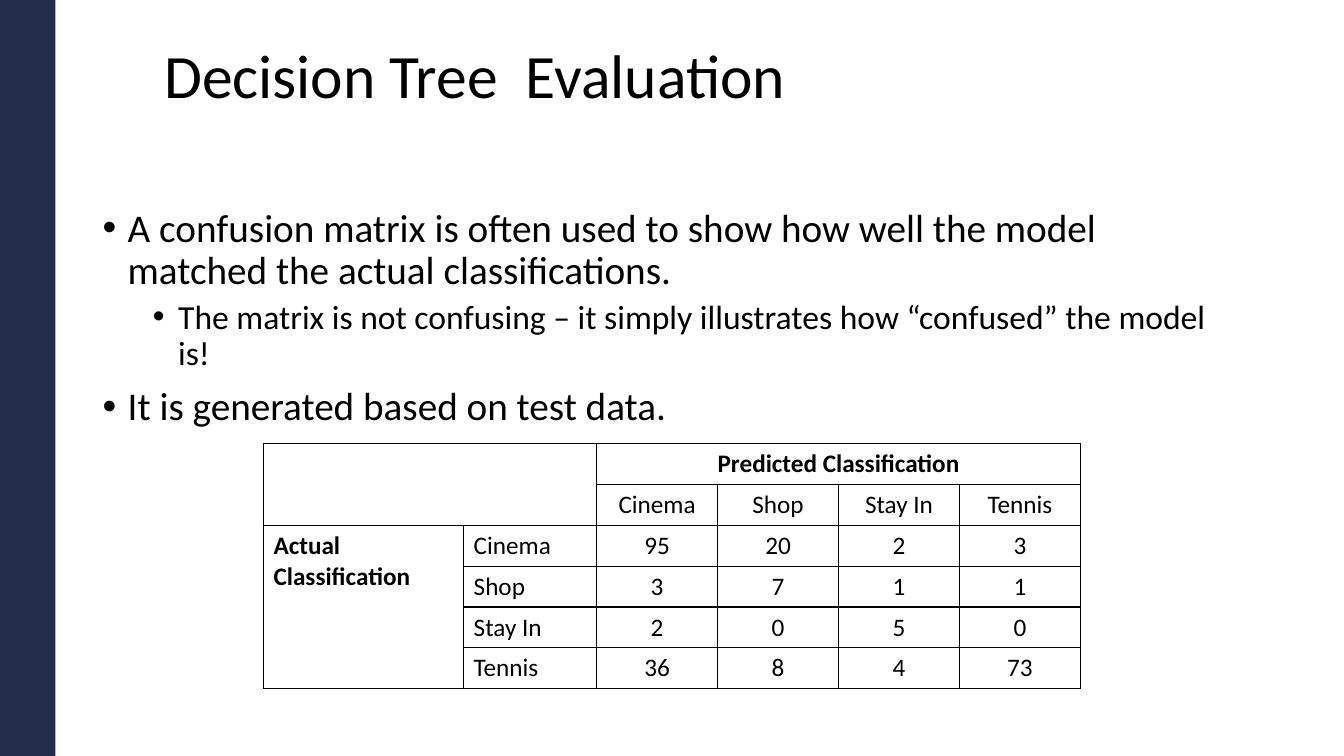
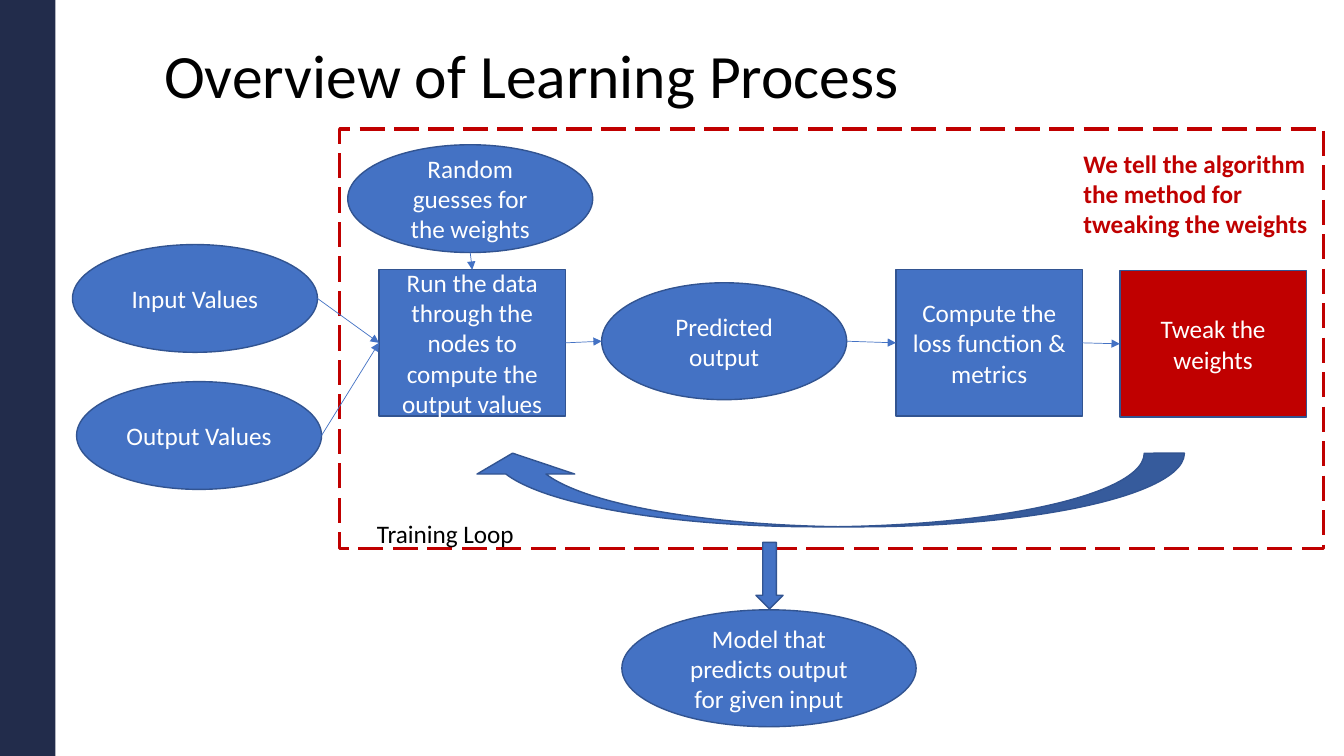
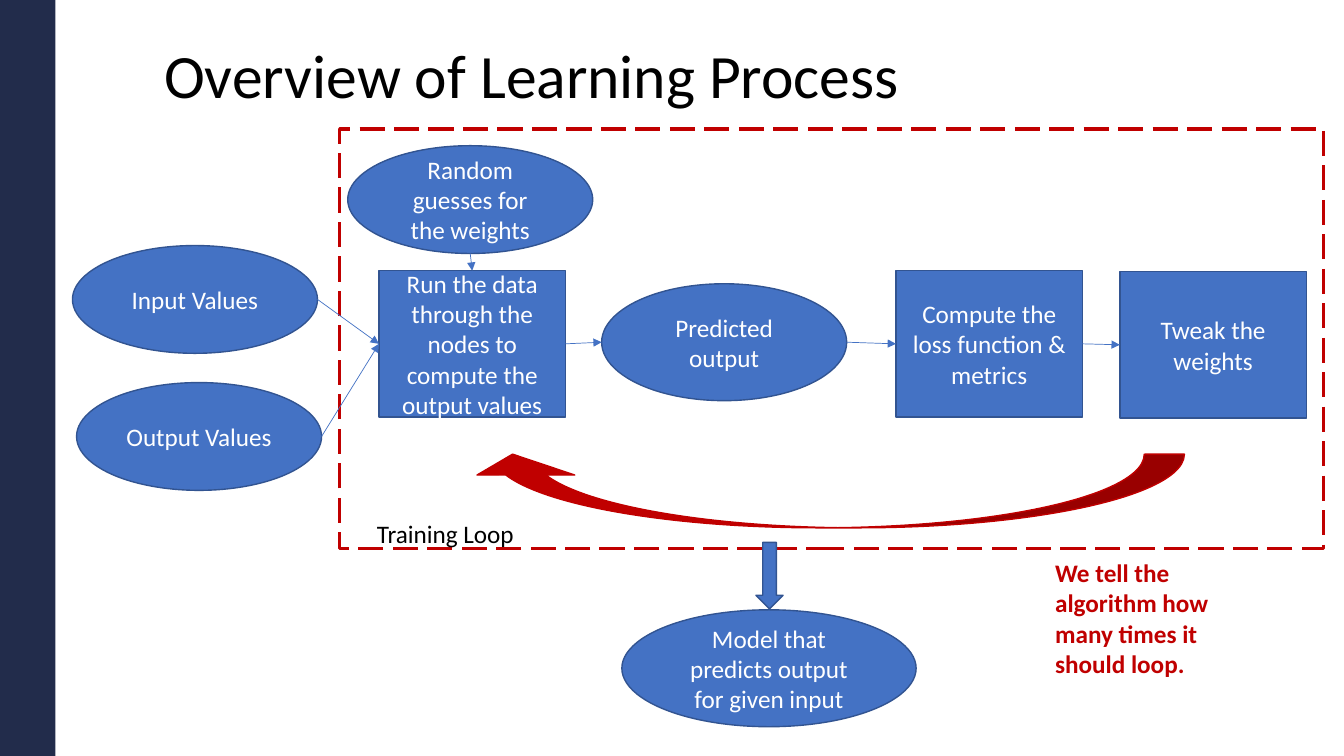
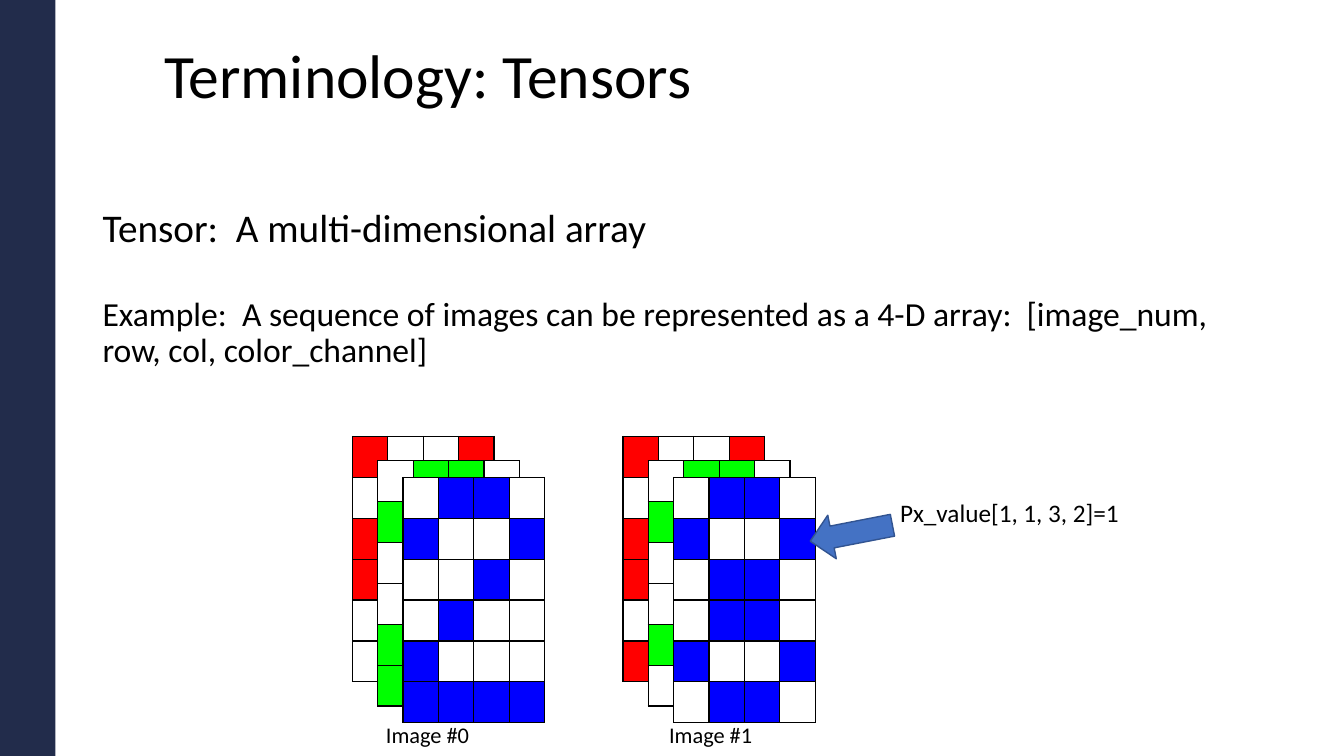
import lxml.etree
import pptx
import pptx.dml.color
import pptx.enum.dml
import pptx.enum.shapes
import pptx.enum.text
import pptx.oxml.ns
import pptx.util

Pt = pptx.util.Pt
qn = pptx.oxml.ns.qn
SHAPE = pptx.enum.shapes.MSO_SHAPE
ALIGN = pptx.enum.text.PP_ALIGN
ANCHOR = pptx.enum.text.MSO_ANCHOR

FONT = "Calibri"
NAVY, BLUE, DARK_BLUE, RED = "222C4B", "4472C4", "325491", "C00000"
BLACK, WHITE = "000000", "FFFFFF"
TOP, LEFT, BOTTOM, RIGHT = range(4)
ROW_HEIGHT = 29.2
BODY_BOX = (66.2, 145.4, 828, 358.6)

TITLE = {"size": 44, "line_spacing": 0.9}
BULLET = {"size": 28, "line_spacing": 0.9, "space_before": 10, "bullet": (18, -18)}
SUB_BULLET = {"size": 24, "line_spacing": 0.9, "space_before": 5, "bullet": (54, -18), "level": 1}
WARNING = {"color": RED, "bold": True}


def rgb(value):
    """Return the colour for a hex string."""
    return pptx.dml.color.RGBColor.from_string(value)


def pts(*values):
    """Return the values as lengths in points."""
    return [Pt(v) for v in values]


def set_attrs(obj, values):
    """Set each attribute named in a dict."""
    for name, value in values.items():
        setattr(obj, name, value)


def add_bullet(p, margin, indent):
    """Give a paragraph a round bullet and a hanging indent."""
    pPr = p._p.get_or_add_pPr()
    pPr.set("marL", str(Pt(margin)))
    pPr.set("indent", str(Pt(indent)))
    lxml.etree.SubElement(pPr, qn("a:buFont")).set("typeface", "Arial")
    lxml.etree.SubElement(pPr, qn("a:buChar")).set("char", "•")


def write(p, text, size=18, color=BLACK, bold=False, bullet=None, space_before=0, **values):
    """Fill a paragraph with one formatted run."""
    if bullet:
        add_bullet(p, *bullet)
    set_attrs(p, {"space_before": Pt(space_before), **values})
    r = p.add_run()
    r.text = text
    set_attrs(r.font, {"name": FONT, "size": Pt(size), "bold": bold})
    r.font.color.rgb = rgb(color)


def add_text(slide, box, *paragraphs):
    """Add a wrapped text box from (text, format) pairs."""
    tf = slide.shapes.add_textbox(*pts(*box)).text_frame
    tf.word_wrap = True
    for i, (text, values) in enumerate(paragraphs):
        write(tf.add_paragraph() if i else tf.paragraphs[0], text, **values)


def add_shape(slide, kind, box, text="", fill=BLUE, line=DARK_BLUE, weight=1):
    """Add a preset shape with centred white text."""
    sp = slide.shapes.add_shape(kind, *pts(*box))
    sp.shadow.inherit = False
    if fill:
        sp.fill.solid()
        sp.fill.fore_color.rgb = rgb(fill)
    else:
        sp.fill.background()
    if line:
        sp.line.color.rgb = rgb(line)
        sp.line.width = Pt(weight)
    else:
        sp.line.fill.background()
    if text:
        set_attrs(sp.text_frame, {"word_wrap": True, "vertical_anchor": ANCHOR.MIDDLE})
        write(sp.text_frame.paragraphs[0], text, color=WHITE, alignment=ALIGN.CENTER)
    return sp


def add_link(slide, start, start_side, end, end_side):
    """Join two shapes with a thin arrow glued to their sides."""
    line = slide.shapes.add_connector(pptx.enum.shapes.MSO_CONNECTOR.STRAIGHT, 0, 0, 0, 0)
    line.begin_connect(start, start_side)
    line.end_connect(end, end_side)
    for tag, sp, side in (("a:stCxn", start, start_side), ("a:endCxn", end, end_side)):
        if sp.auto_shape_type == SHAPE.OVAL:
            line._element.xpath(".//" + tag)[0].set("idx", str(2 * side))
    line.line.color.rgb = rgb(BLUE)
    line.line.width = Pt(0.5)
    lxml.etree.SubElement(line.line._get_or_add_ln(), qn("a:tailEnd")).set("type", "triangle")
    lxml.etree.SubElement(line._element.spPr, qn("a:effectLst"))


def style_cell(cell, fill=WHITE):
    """Give a cell thin black borders and a plain fill."""
    tcPr = cell._tc.get_or_add_tcPr()
    for side in ("lnL", "lnR", "lnT", "lnB"):
        ln = lxml.etree.SubElement(tcPr, qn("a:" + side), w=str(Pt(1)))
        solid = lxml.etree.SubElement(ln, qn("a:solidFill"))
        lxml.etree.SubElement(solid, qn("a:srgbClr")).set("val", BLACK)
    cell.fill.solid()
    cell.fill.fore_color.rgb = rgb(fill)


def add_grid(slide, left, top, widths, rows):
    """Add an unbanded table with equal rows and the given column widths."""
    box = pts(left, top, sum(widths), rows * ROW_HEIGHT)
    table = slide.shapes.add_table(rows, len(widths), *box).table
    set_attrs(table, {"first_row": False, "horz_banding": False})
    for column, width in zip(table.columns, widths):
        column.width = Pt(width)
    for row in table.rows:
        row.height = Pt(ROW_HEIGHT)
    return table


def add_confusion_matrix(slide, left, top):
    """Add the table of predicted against actual classes."""
    classes = ["Cinema", "Shop", "Stay In", "Tennis"]
    counts = [(95, 20, 2, 3), (3, 7, 1, 1), (2, 0, 5, 0), (36, 8, 4, 73)]
    table = add_grid(slide, left, top, [143, 95] + [86.4] * 4, 6)
    for cell in table.iter_cells():
        style_cell(cell)
    for first, last in (((0, 0), (1, 1)), ((0, 2), (0, 5)), ((2, 0), (5, 0))):
        table.cell(*first).merge(table.cell(*last))

    def put(row, col, text, **values):
        write(table.cell(row, col).text_frame.paragraphs[0], text, **values)

    put(0, 2, "Predicted Classification", bold=True, alignment=ALIGN.CENTER)
    put(2, 0, "Actual Classification", bold=True)
    for i, (name, values) in enumerate(zip(classes, counts)):
        put(1, 2 + i, name, alignment=ALIGN.CENTER)
        put(2 + i, 1, name)
        for j, value in enumerate(values):
            put(2 + i, 2 + j, str(value), alignment=ALIGN.CENTER)


def add_training_flow(slide, left, top, tweak_fill, loop_fill, loop_line):
    """Add the linked steps of one training pass and the arrow looping back."""
    def node(kind, x, y, w, h, text, fill=BLUE):
        return add_shape(slide, kind, (left + x, top + y, w, h), text, fill)

    oval, step = (175, 77), (133.2, 104.4)
    outputs = node(SHAPE.OVAL, 2.9, 169.2, *oval, "Output Values")
    run = node(SHAPE.RECTANGLE, 218.9, 89.3, *step,
               "Run the data through the nodes to compute the output values")
    inputs = node(SHAPE.OVAL, 0, 71.3, *oval, "Input Values")
    predicted = node(SHAPE.OVAL, 378, 98.6, 175, 83.5, "Predicted output")
    loss = node(SHAPE.RECTANGLE, 588.2, 89.3, *step, "Compute the loss function & metrics")
    tweak = node(SHAPE.RECTANGLE, 748.1, 90, *step, "Tweak the weights", tweak_fill)
    guesses = node(SHAPE.OVAL, 196.6, 0, *oval, "Random guesses for the weights")
    loop = add_shape(slide, SHAPE.CURVED_DOWN_ARROW, (left + 279.4, top + 220.3, 514.8, 52.6),
                     fill=loop_fill, line=loop_line)
    loop.rotation = 180
    for i, value in enumerate((0.545, 1.327, 0.283)):
        loop.adjustments[i] = value
    for start in (inputs, outputs):
        add_link(slide, start, RIGHT, run, LEFT)
    for start, end in ((run, predicted), (predicted, loss), (loss, tweak)):
        add_link(slide, start, RIGHT, end, LEFT)
    add_link(slide, guesses, BOTTOM, run, TOP)


def add_image_tensor(slide, left, top, bitmap):
    """Add the stacked red, green and blue grids of one image."""
    for dx, dy, color, lit in ((0, 0, "FF0000", "0"), (18.1, 17.3, "00FF00", "1"),
                               (36.2, 29.2, "0000FF", "1")):
        table = add_grid(slide, left + dx, top + dy, [25.3] * 4, len(bitmap))
        for cell, bit in zip(table.iter_cells(), "".join(bitmap)):
            style_cell(cell, color if bit == lit else WHITE)


def new_slide(prs, title):
    """Add a blank slide with the side band and the title."""
    slide = prs.slides.add_slide(prs.slide_layouts[6])
    add_shape(slide, SHAPE.RECTANGLE, (0, 0, 39.6, 540), fill=NAVY, line=None)
    add_text(slide, (110.2, 28.8, 756, 104.4), (title, TITLE))
    return slide


def evaluation_slide(prs):
    """Build the slide on the confusion matrix."""
    slide = new_slide(prs, "Decision Tree  Evaluation")
    add_text(
        slide, BODY_BOX,
        ("A confusion matrix is often used to show how well the model matched the actual "
         "classifications.", {**BULLET, "space_before": 0}),
        ("The matrix is not confusing – it simply illustrates how “confused” the model is!",
         SUB_BULLET),
        ("It is generated based on test data.", BULLET))
    add_confusion_matrix(slide, 188.2, 316.8)


def learning_slide(prs, flow_top, note, note_box, tweak_fill=BLUE, loop_fill=BLUE,
                   loop_line=DARK_BLUE):
    """Build a learning process slide with one part highlighted and a note."""
    slide = new_slide(prs, "Overview of Learning Process")
    frame = add_shape(slide, SHAPE.RECTANGLE, (242.6, 92.2, 702.7, 299.5), fill=None,
                      line=RED, weight=2.25)
    frame.line.dash_style = pptx.enum.dml.MSO_LINE.LONG_DASH
    add_text(slide, (262.1, 366.5, 198.7, 28.8), ("Training Loop", {}))
    add_shape(slide, SHAPE.DOWN_ARROW, (540, 387.4, 19.4, 47.5))
    add_shape(slide, SHAPE.OVAL, (444.2, 435.6, 210.2, 83.5),
              "Model that predicts output for given input")
    add_training_flow(slide, 51.8, flow_top, tweak_fill, loop_fill, loop_line)
    add_text(slide, note_box, (note, WARNING))


def tensor_slide(prs):
    """Build the slide on tensors."""
    slide = new_slide(prs, "Terminology: Tensors")
    add_text(
        slide, BODY_BOX,
        ("Tensor:  A multi-dimensional array", {"size": 28, "line_spacing": 0.9}),
        ("Example:  A sequence of images can be represented as a 4-D array:  "
         "[image_num, row, col, color_channel]",
         {"size": 24, "line_spacing": 0.9, "space_before": 33}))
    two = ("0110", "1001", "0010", "0100", "1000", "1111")
    eight = ("0110", "1001", "0110", "0110", "1001", "0110")
    for i, (left, label_left, bitmap) in enumerate(((251.7, 268.6, two), (445, 470.9, eight))):
        add_image_tensor(slide, left, 311.8, bitmap)
        add_text(slide, (label_left, 511.9, 80, 26.6), (f"Image #{i}", {"size": 16}))
    arrow = add_shape(slide, SHAPE.RIGHT_ARROW, (578.2, 365, 59.8, 31.7))
    arrow.rotation = 169
    add_text(slide, (635.8, 351.4, 172.8, 51.1), ("Px_value[1, 1, 3, 2]=1", {}))


def main():
    """Build and save the presentation."""
    prs = pptx.Presentation()
    set_attrs(prs, {"slide_width": Pt(960), "slide_height": Pt(540)})
    evaluation_slide(prs)
    learning_slide(prs, 103.4, "We tell the algorithm the method for tweaking the weights",
                   (766.8, 102.2, 177.8, 72.7), tweak_fill=RED)
    learning_slide(prs, 104.1, "We tell the algorithm how many times it should loop.",
                   (746.6, 394.6, 149, 94.3), loop_fill=RED, loop_line=RED)
    tensor_slide(prs)
    prs.save("out.pptx")


if __name__ == "__main__":
    main()
